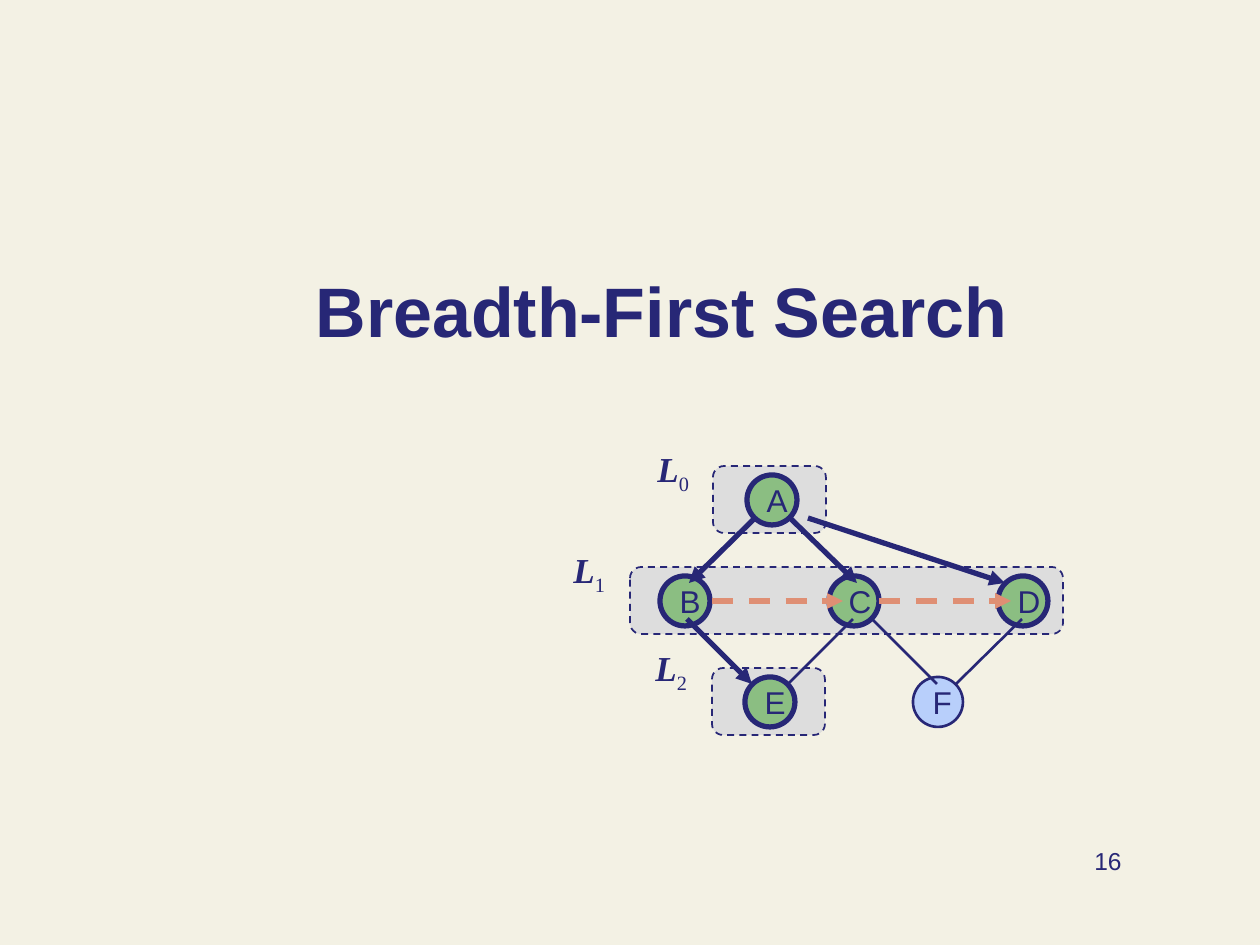
"""Build the Breadth-First Search title slide with its level-by-level graph."""
from lxml import etree
from pptx import Presentation
from pptx.dml.color import RGBColor
from pptx.enum.dml import MSO_LINE
from pptx.enum.shapes import MSO_CONNECTOR, MSO_SHAPE
from pptx.enum.text import MSO_ANCHOR, PP_ALIGN
from pptx.oxml.ns import qn
from pptx.util import Inches, Pt

DASH = MSO_LINE.DASH
STRAIGHT = MSO_CONNECTOR.STRAIGHT
ROUNDED, OVAL = MSO_SHAPE.ROUNDED_RECTANGLE, MSO_SHAPE.OVAL
TOP, MIDDLE = MSO_ANCHOR.TOP, MSO_ANCHOR.MIDDLE
LEFT, CENTER, RIGHT = PP_ALIGN.LEFT, PP_ALIGN.CENTER, PP_ALIGN.RIGHT

PX = Inches(1) / 126
NAVY, SALMON, GREEN, BLUE = "272776", "DF8F74", "8BBE82", "B8CFFB"
GRAY, CREAM = "DDDDDD", "F3F1E4"
NODE_SIZE = 50
THICK, THIN = 3, 1.5


def paint(color_format, color):
    color_format.rgb = RGBColor.from_string(color)


def write(shape, text, size=18, font="Arial", bold=False, italic=False,
          align=LEFT, anchor=MIDDLE, subscript=""):
    frame = shape.text_frame
    frame.word_wrap = True
    frame.vertical_anchor = anchor
    paragraph = frame.paragraphs[0]
    paragraph.alignment = align
    for part in filter(None, (text, subscript)):
        run = paragraph.add_run()
        run.text = part
        run.font.name, run.font.size = font, Pt(size)
        run.font.bold, run.font.italic = bold, italic
        paint(run.font.color, NAVY)
        if part == subscript:
            run.font.bold = run.font.italic = False
            run._r.get_or_add_rPr().set("baseline", "-25000")


deck = Presentation()
deck.slide_width, deck.slide_height = round(1260 * PX), round(945 * PX)
slide = deck.slides.add_slide(deck.slide_layouts[6])
slide.background.fill.solid()
paint(slide.background.fill.fore_color, CREAM)
shapes = slide.shapes

title = shapes.add_textbox(*(round(n * PX) for n in (126, 231, 1071, 157)))
write(title, "Breadth-First Search", size=40, bold=True, align=CENTER)

levels = [
    (713, 466, 113, 645, 441),
    (630, 567, 433, 561, 542),
    (712, 668, 113, 643, 640),
]
nodes = {
    "A": (747, 475, GREEN, THICK),
    "B": (660, 576, GREEN, THICK),
    "C": (829, 576, GREEN, THICK),
    "D": (998, 576, GREEN, THICK),
    "E": (745, 677, GREEN, THICK),
    "F": (913, 677, BLUE, THIN),
}
outlines = [(ROUNDED, (left, top, width, 67), GRAY, 1, "")
            for left, top, width, _, _ in levels]
outlines += [(OVAL, (left, top, NODE_SIZE, NODE_SIZE), fill, weight, letter)
             for letter, (left, top, fill, weight) in nodes.items()]

for preset, bounds, fill, weight, letter in outlines:
    outline = shapes.add_shape(preset, *(round(n * PX) for n in bounds))
    outline.shadow.inherit = False
    outline.fill.solid()
    paint(outline.fill.fore_color, fill)
    paint(outline.line.color, NAVY)
    outline.line.width = Pt(weight)
    if letter:
        write(outline, letter)
    else:
        outline.line.dash_style = DASH

for number, (_, _, _, left, top) in enumerate(levels):
    label = shapes.add_textbox(*(round(n * PX) for n in (left, top, 64, 54)))
    write(label, "L", size=20, font="Times New Roman", bold=True, italic=True,
          anchor=TOP, subscript=str(number))

discovery_edges = [
    (755, 518, 689, 583),
    (790, 518, 857, 583),
    (808, 518, 1005, 583),
    (687, 619, 752, 684),
]
cross_edges = [(712, 601, 843, 601), (879, 601, 1011, 601)]
unexplored_edges = [
    (788, 684, 853, 619),
    (872, 619, 937, 684),
    (956, 684, 1022, 619),
]
edge_styles = [
    (discovery_edges, NAVY, THICK, False, True),
    (cross_edges, SALMON, THICK, True, True),
    (unexplored_edges, NAVY, THIN, False, False),
]
for edges, color, weight, dashed, directed in edge_styles:
    for ends in edges:
        edge = shapes.add_connector(STRAIGHT, *(round(n * PX) for n in ends))
        paint(edge.line.color, color)
        edge.line.width = Pt(weight)
        if dashed:
            edge.line.dash_style = DASH
        properties = edge._element.spPr
        if directed:
            etree.SubElement(properties.find(qn("a:ln")), qn("a:tailEnd"),
                             type="triangle")
        etree.SubElement(properties, qn("a:effectLst"))

page_number = shapes.add_textbox(*(round(n * PX) for n in (903, 840, 231, 63)))
write(page_number, "16", size=14, align=RIGHT, anchor=TOP)

deck.save("out.pptx")
